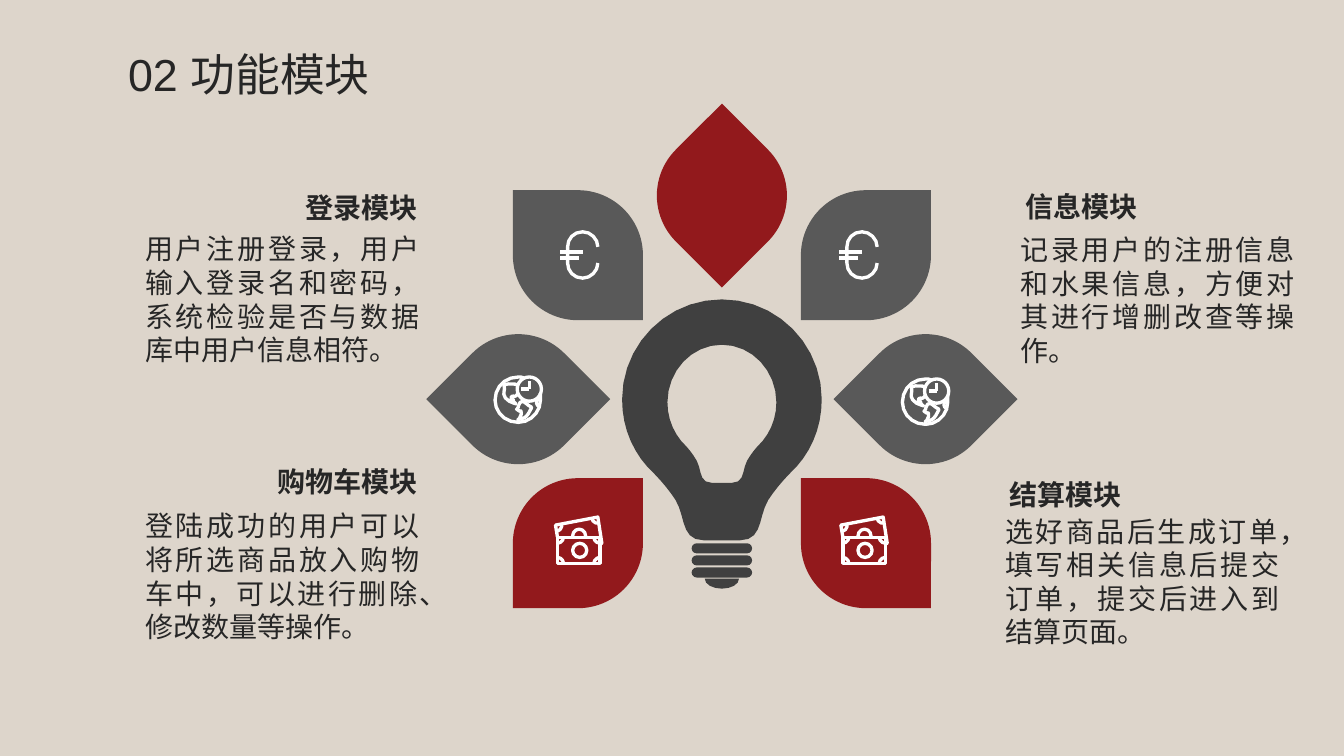
from math import ceil, cos, dist, radians, sin, sqrt

from lxml import etree
from pptx import Presentation
from pptx.dml.color import RGBColor
from pptx.enum.shapes import MSO_CONNECTOR, MSO_SHAPE
from pptx.enum.text import MSO_ANCHOR, MSO_AUTO_SIZE, PP_ALIGN
from pptx.oxml.ns import qn
from pptx.util import Inches, Pt

STRAIGHT = MSO_CONNECTOR.STRAIGHT
OVAL, RECTANGLE, ROUNDED = MSO_SHAPE.OVAL, MSO_SHAPE.RECTANGLE, MSO_SHAPE.ROUNDED_RECTANGLE
LEAF = MSO_SHAPE.ROUND_2_DIAG_RECTANGLE
LEFT, RIGHT, JUSTIFY = PP_ALIGN.LEFT, PP_ALIGN.RIGHT, PP_ALIGN.JUSTIFY

BEIGE, RED, GRAY, CHARCOAL, INK, WHITE = "DDD5CB", "92191C", "595959", "404040", "262626", "FFFFFF"
CJK_FONT = "Noto Sans CJK SC"
UNIT = Inches(0.01)  # drawings are laid out on a grid of hundredths of an inch
CENTER = (716, 396)  # middle of the bulb and of the ring of petals
RING_RADIUS, PETAL_SIZE = 202, 129
PETALS = {-135: GRAY, -90: RED, -45: GRAY, 0: GRAY, 45: RED, 135: RED, 180: GRAY}

# Paths: a start point, then line ends (x, y) or Bézier segments of six numbers.
BULB_OUTER = [(0, -99), (-55, -99, -99, -54, -99, 0), (-99, 26, -90, 49, -74, 67), (-69, 72),
              (-63, 78, -53, 89, -46, 100), (-36, 116, -41, 140, -18, 140)]
BULB_INNER = [(0, -54), (-30, -54, -54, -28, -54, 3), (-54, 18, -49, 31, -40, 42), (-38, 44),
              (-34, 48, -29, 54, -25, 61), (-20, 70, -23, 83, -10, 83)]
BULB_TIP = [(-17, 178), (-17, 184, -9, 188, 0, 188)]
EURO = [(38, 15), (38, 7, 31, 0, 23, 0), (14, 0, 8, 7, 8, 15), (8, 31),
        (8, 39, 14, 46, 23, 46), (31, 46, 38, 39, 38, 31)]
GLOBE_RIM = [(29, 1), (27, 0, 25, 0, 23, 0), (10, 0, 0, 10, 0, 23), (0, 35, 10, 45, 23, 45),
             (35, 45, 45, 35, 45, 23), (45, 20, 45, 18, 45, 16)]
NORTH_LAND = [(22, 8), (21, 7, 19, 7, 18, 7), (13, 6, 7, 8, 9, 9), (10, 11, 9, 13, 9, 14),
              (8, 17, 9, 21, 14, 24), (20, 27, 21, 26, 21, 27), (20, 26), (19, 25),
              (18, 25, 18, 23, 18, 22), (18, 21, 17, 23, 16, 22),
              (15, 20, 17, 18, 18, 19), (21, 20, 21, 18, 23, 16)]
SOUTH_LAND = [(23, 30), (22, 33, 20, 31, 23, 33), (25, 36, 26, 30, 26, 37),
              (25, 43, 20, 43, 24, 42), (28, 40, 28, 42, 31, 39), (34, 36, 34, 34, 36, 31),
              (37, 29, 35, 30, 33, 28), (31, 27, 28, 22, 25, 25), (23, 28, 23, 30, 23, 30)]
EAST_LAND = [(43, 20), (42, 23, 40, 26, 42, 28), (44, 30, 45, 29, 45, 29)]
BACK_NOTE = [(2, 20), (0, 8), (42, 0), (46, 26), (44, 27)]
BACK_ARCS = [[(6, 6), (7, 10, 5, 13, 2, 14)], [(43, 6), (40, 7, 36, 4, 36, 1)]]
COIN_TOP = [(17, 19), (17, 15, 20, 12, 23.5, 12), (27, 12, 30, 15, 30, 19)]

# Heading, its left and top, its alignment, then the text with its left and top.
MODULES = [
    ("登录模块", 2.31, 1.84, RIGHT,
     "用户注册登录，用户输入登录名和密码，系统检验是否与数据库中用户信息相符。", 1.34, 2.25),
    ("信息模块", 10.07, 1.83, LEFT,
     "记录用户的注册信息和水果信息，方便对其进行增删改查等操作。", 10.02, 2.26),
    ("购物车模块", 2.31, 4.56, RIGHT,
     "登陆成功的用户可以将所选商品放入购物车中，可以进行删除、修改数量等操作。", 1.34, 5),
    ("结算模块", 9.91, 4.69, LEFT,
     "选好商品后生成订单，填写相关信息后提交订单，提交后进入到结算页面。", 9.87, 5.05),
]


def color(value):
    return RGBColor.from_string(value)


def flatten(path):
    """Turn a path into a polyline, with more points on longer curves."""
    points = [path[0]]
    for segment in path[1:]:
        if len(segment) == 2:
            points.append(segment)
            continue
        knots = [points[-1], segment[:2], segment[2:4], segment[4:]]
        steps = ceil(0.75 * sqrt(sum(map(dist, knots, knots[1:]))))
        for step in range(1, steps + 1):
            t = step / steps
            weights = ((1 - t) ** 3, 3 * t * (1 - t) ** 2, 3 * t * t * (1 - t), t ** 3)
            points.append(tuple(sum(w * k[axis] for w, k in zip(weights, knots))
                                for axis in (0, 1)))
    return points


def symmetric(half_path):
    half = flatten(half_path)
    return half + [(-x, y) for x, y in reversed(half)]


def paint(shape, fill=None):
    """Fill a shape, or give it the white outline of the icons."""
    shape.shadow.inherit = False
    if fill:
        shape.fill.solid()
        shape.fill.fore_color.rgb = color(fill)
        shape.line.fill.background()
    else:
        shape.fill.background()
        shape.line.color.rgb = color(WHITE)
        shape.line.width = Pt(2.38)
    return shape


def add_outline(shapes, origin, contours, fill=None):
    scaled = [[((origin[0] + x) * UNIT, (origin[1] + y) * UNIT) for x, y in points]
              for points in contours]
    builder = shapes.build_freeform(*scaled[0][0], scale=1.0)
    for index, points in enumerate(scaled):
        if index:
            builder.move_to(*points[0])
        builder.add_line_segments(points[1:], close=bool(fill))
    paint(builder.convert_to_shape(), fill)


def add_preset(shapes, origin, kind, box, fill=None):
    left, top, width, height = box
    shape = shapes.add_shape(kind, *(round(value * UNIT) for value in
                                     (origin[0] + left, origin[1] + top, width, height)))
    return paint(shape, fill)


def add_stroke(shapes, origin, start, end):
    ends = [(origin[axis] + point[axis]) * UNIT for point in (start, end) for axis in (0, 1)]
    connector = shapes.add_connector(STRAIGHT, *ends)
    connector.line.color.rgb = color(WHITE)
    connector.line.width = Pt(2.38)
    etree.SubElement(connector._element.spPr, qn("a:effectLst"))


def add_petals(slide):
    half = PETAL_SIZE / 2
    for angle, fill in PETALS.items():
        center = [CENTER[0] + RING_RADIUS * cos(radians(angle)),
                  CENTER[1] + RING_RADIUS * sin(radians(angle))]
        petal = add_preset(slide.shapes, center, LEAF, (-half, -half, PETAL_SIZE, PETAL_SIZE), fill)
        petal.adjustments[0], petal.adjustments[1] = 0, 0.5
        petal.rotation = angle + 135  # the sharp corner points outwards


def add_bulb(slide):
    shapes = slide.shapes.add_group_shape().shapes
    for row in range(3):
        thread = add_preset(shapes, CENTER, ROUNDED, (-30, 143 + 12 * row, 60, 10), CHARCOAL)
        thread.adjustments[0] = 0.5
    add_outline(shapes, CENTER, [symmetric(BULB_TIP)], CHARCOAL)
    add_outline(shapes, CENTER, [symmetric(BULB_OUTER), symmetric(BULB_INNER)], CHARCOAL)


def draw_euro(shapes, origin):
    add_outline(shapes, origin, [flatten(EURO)])
    add_stroke(shapes, origin, (23, 20), (0, 20))
    add_stroke(shapes, origin, (19, 26), (0, 26))


def draw_globe(shapes, origin):
    add_preset(shapes, origin, OVAL, (22, 0, 24, 24))
    add_stroke(shapes, origin, (26, 12), (34, 12))
    add_stroke(shapes, origin, (34, 4), (34, 12))
    add_outline(shapes, origin, map(flatten, (GLOBE_RIM, NORTH_LAND, SOUTH_LAND, EAST_LAND)))


def draw_banknotes(shapes, origin):
    add_preset(shapes, origin, OVAL, (17, 26, 14, 14))
    add_preset(shapes, origin, RECTANGLE, (2, 20, 42, 26))
    corners = [[(x + 6 * dx, y), (x + 6 * dx, y + 3 * dy, x + 3 * dx, y + 6 * dy, x, y + 6 * dy)]
               for x, dx in ((2, 1), (44, -1)) for y, dy in ((20, 1), (46, -1))]
    add_outline(shapes, origin, map(flatten, [COIN_TOP, BACK_NOTE] + BACK_ARCS + corners))


def write(shape, text, alignment, **font_values):
    shape.text_frame.word_wrap = True
    paragraph = shape.text_frame.paragraphs[0]
    paragraph.alignment = alignment
    run = paragraph.add_run()
    run.text = text
    run.font.color.rgb = color(INK)
    for name, value in font_values.items():
        setattr(run.font, name, value)
    etree.SubElement(run.font._element, qn("a:ea")).set("typeface", CJK_FONT)
    return paragraph


def add_title(slide):
    title = slide.shapes.title
    box = {"left": 1.17, "top": 0.31, "width": 4.3, "height": 0.98}
    for name, value in box.items():
        setattr(title, name, Inches(value))
    title.text_frame.vertical_anchor = MSO_ANCHOR.TOP
    write(title, "02 功能模块", LEFT, name="Arial", size=Pt(32)).line_spacing = 1.2


def add_module(slide, heading, left, top, alignment, text, text_left, text_top):
    for content, box, align, bold in ((heading, (left, top, 1.93, 0.44), alignment, True),
                                      (text, (text_left, text_top, 2.92, 1.45), JUSTIFY, False)):
        text_box = slide.shapes.add_textbox(*map(Inches, box))
        text_box.text_frame.auto_size = MSO_AUTO_SIZE.SHAPE_TO_FIT_TEXT
        write(text_box, content, align, name=CJK_FONT, size=Pt(20), bold=bold)


def main():
    presentation = Presentation()
    presentation.slide_width, presentation.slide_height = Inches(13.33), Inches(7.5)
    slide = presentation.slides.add_slide(presentation.slide_layouts[5])
    slide.background.fill.solid()
    slide.background.fill.fore_color.rgb = color(BEIGE)
    add_petals(slide)
    add_bulb(slide)
    for draw, origins in ((draw_globe, ((491, 374), (895, 376))),
                          (draw_banknotes, ((551, 513), (834, 513))),
                          (draw_euro, ((555, 230), (832, 230)))):
        for origin in origins:
            draw(slide.shapes.add_group_shape().shapes, origin)
    for module in MODULES:
        add_module(slide, *module)
    add_title(slide)
    presentation.save("out.pptx")


if __name__ == "__main__":
    main()
